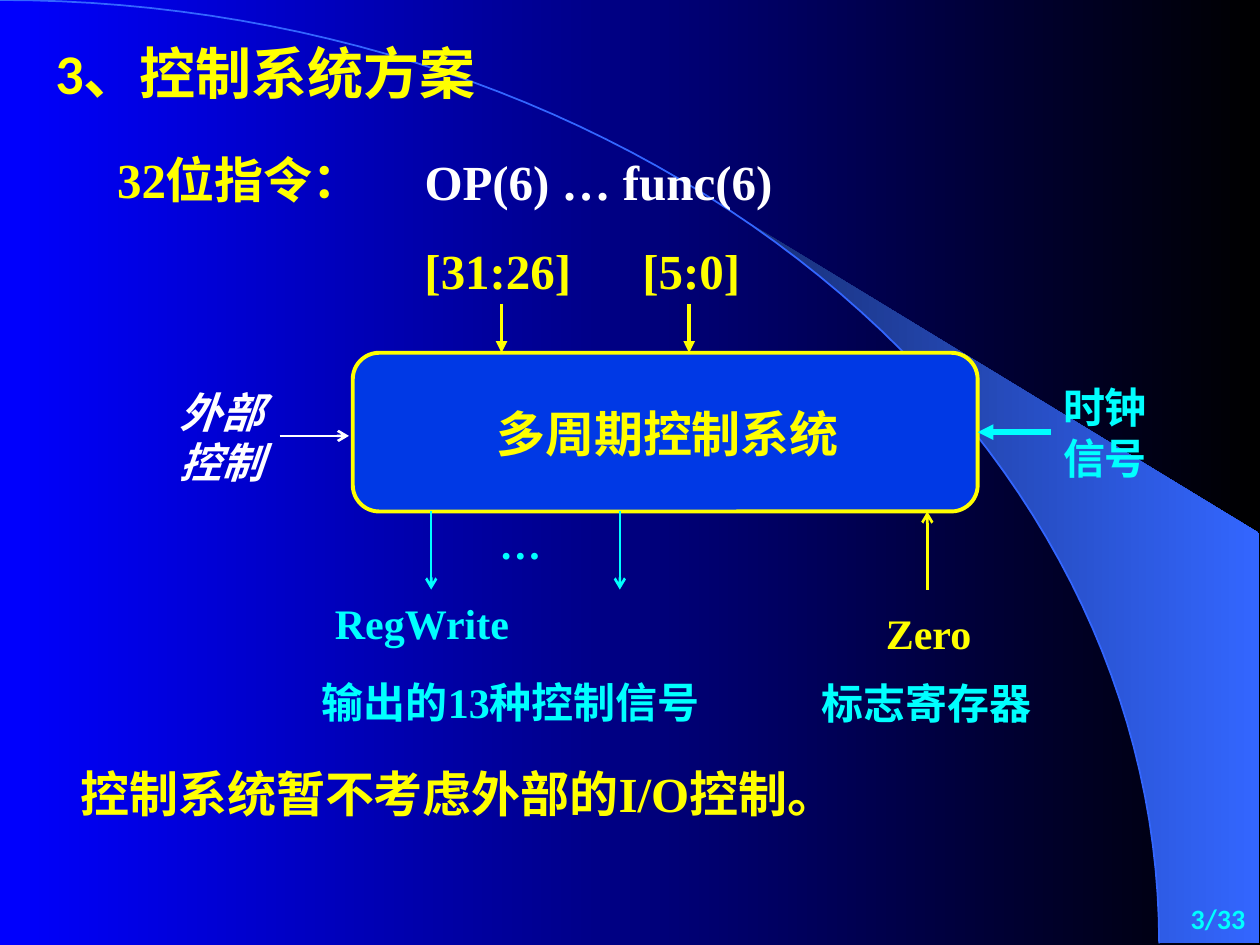
from dataclasses import dataclass
from math import asin, cos, pi, sin

from lxml.etree import SubElement
from pptx import Presentation
from pptx.dml.color import RGBColor
from pptx.enum.shapes import MSO_CONNECTOR, MSO_SHAPE
from pptx.enum.text import MSO_ANCHOR as Anchor, PP_ALIGN as Align
from pptx.oxml.ns import qn
from pptx.util import Pt

BLUE = RGBColor(0x00, 0x00, 0xFF)
BLACK = RGBColor(0x00, 0x00, 0x00)
NAVY = RGBColor(0x18, 0x2F, 0x76)
SKY = RGBColor(0x33, 0x66, 0xFF)
PANEL = RGBColor(0x00, 0x39, 0xE5)
YELLOW = RGBColor(0xFF, 0xFF, 0x00)
CYAN = RGBColor(0x00, 0xFF, 0xFF)
WHITE = RGBColor(0xFF, 0xFF, 0xFF)

SERIF = "Times New Roman"
SANS = "Calibri"
CHINESE = "Noto Sans CJK SC"


@dataclass
class Box:
    left: float
    top: float
    width: float
    height: float

    def inner(self, x, y, width, height):
        return Box(self.left + x, self.top + y, width, height)

    @property
    def right(self):
        return self.left + self.width

    @property
    def bottom(self):
        return self.top + self.height

    def in_points(self):
        return [Pt(v) for v in (self.left, self.top, self.width, self.height)]


def add_text(slide, box, paragraphs, size, color, align=Align.LEFT,
             font=SERIF, wrap=False, anchor=Anchor.TOP, italic=False):
    """Each paragraph is a string, or a list of (text, font name) runs."""
    frame = slide.shapes.add_textbox(*box.in_points()).text_frame
    frame.word_wrap = wrap
    frame.vertical_anchor = anchor
    for index, content in enumerate(paragraphs):
        paragraph = frame.add_paragraph() if index else frame.paragraphs[0]
        paragraph.alignment = align
        runs = [(content, font)] if isinstance(content, str) else content
        for text, name in runs:
            run = paragraph.add_run()
            run.text = text
            run.font.size = Pt(size)
            run.font.bold = True
            run.font.italic = italic
            run.font.color.rgb = color
            run.font.name = name
            SubElement(run.font._element, qn("a:ea"), typeface=CHINESE)


def add_arrow(slide, start, end, color, width, head="arrow"):
    connector = slide.shapes.add_connector(
        MSO_CONNECTOR.STRAIGHT, *[Pt(v) for v in (*start, *end)])
    connector.line.color.rgb = color
    connector.line.width = Pt(width)
    properties = connector._element.spPr
    SubElement(properties.find(qn("a:ln")), qn("a:tailEnd"), type=head)
    SubElement(properties, qn("a:effectLst"))
    return connector


def add_outline(slide, points, close):
    points = [(Pt(x), Pt(y)) for x, y in points]
    builder = slide.shapes.build_freeform(*points[0])
    builder.add_line_segments(points[1:], close=close)
    shape = builder.convert_to_shape()
    shape.shadow.inherit = False
    return shape


def set_gradient(fill, first, last):
    fill.gradient()
    fill.gradient_angle = 0
    for stop, color, position in zip(fill.gradient_stops, (first, last), (0, 1)):
        stop.color.rgb = color
        stop.position = position


def ellipse_arc(box, start, steps=60):
    """Points of a quarter ellipse, from the start angle down to the lower right."""
    angles = [start + (pi / 2 - start) * i / steps for i in range(steps + 1)]
    return [(box.left + box.width * sin(a), box.bottom - box.height * cos(a))
            for a in angles]


def add_backdrop(slide, box):
    set_gradient(slide.background.fill, BLUE, BLACK)
    globe = box.inner(0, 0, 662.4, 539)
    tangent_x, edge_x, edge_y = 424, 719.3, 304.6
    beam_points = ellipse_arc(globe, asin(tangent_x / globe.width))
    beam_points += [(box.left + edge_x, globe.bottom),
                    (box.left + edge_x, box.top + edge_y)]
    beam = add_outline(slide, beam_points, close=True)
    set_gradient(beam.fill, NAVY, SKY)
    beam.line.fill.background()

    horizon = add_outline(slide, ellipse_arc(globe, 0), close=False)
    horizon.fill.background()
    horizon.line.color.rgb = SKY
    horizon.line.width = Pt(1)


def add_instruction(slide, box):
    add_text(slide, box.inner(0, 0, 165, 39.6), ["32位指令："], 28, YELLOW)
    add_text(slide, box.inner(175.7, 0.7, 220, 39.6), ["OP(6) … func(6)"], 28, WHITE)
    fields = (("[31:26]", 175.7, 113, 226.8), ("[5:0]", 300.2, 90.7, 334))
    for text, x, width, arrow_x in fields:
        add_text(slide, box.inner(x, 51.8, width, 39.6), [text], 28, YELLOW)
        column = box.left + arrow_x
        add_arrow(slide, (column, box.top + 91.4), (column, box.bottom),
                  YELLOW, 2.25, "triangle")


def add_controller(slide, box):
    panel = slide.shapes.add_shape(MSO_SHAPE.ROUNDED_RECTANGLE, *box.in_points())
    panel.shadow.inherit = False
    panel.fill.solid()
    panel.fill.fore_color.rgb = PANEL
    panel.line.color.rgb = YELLOW
    panel.line.width = Pt(2.25)
    add_text(slide, box.inner(74.9, 25.2, 220, 41), ["多周期控制系统"], 28, YELLOW)
    return panel


def add_side_inputs(slide, box, panel):
    """Inputs to the left and right of the controller that fills the box."""
    external_y = box.top + 47.5
    add_text(slide, box.inner(-117.4, 15.8, 85, 64.8), ["外部控制"], 24, WHITE,
             Align.CENTER, CHINESE, wrap=True, italic=True)
    add_arrow(slide, (box.left - 41.8, external_y), (box.left - 2.2, external_y),
              WHITE, 1.5)

    middle = box.top + box.height / 2
    add_text(slide, box.inner(384.5, 13, 90.7, 67.7), ["时钟", "信号"], 24, CYAN,
             Align.CENTER)
    clock = add_arrow(slide, (box.right + 41.8, middle), (box.right, middle),
                      CYAN, 3, "triangle")
    clock.end_connect(panel, 3)


def add_lower_signals(slide, box):
    for x in (44.8, 152.6):
        column = box.left + x
        add_arrow(slide, (column, box.top), (column, box.top + 44.6), CYAN, 1.5)
    flag_x = box.left + 328.3
    add_arrow(slide, (flag_x, box.top + 44.6), (flag_x, box.top), YELLOW, 1.5)

    labels = (
        ("…", 61.9, 0, 67.7, CYAN, Align.CENTER),
        ("RegWrite", -17.3, 45.4, 124.6, CYAN, Align.LEFT),
        ("输出的13种控制信号", -39.6, 90.7, 260, CYAN, Align.CENTER),
        ("Zero", 295.2, 51.1, 67.7, YELLOW, Align.CENTER),
        ("标志寄存器", 253, 91.4, 150, CYAN, Align.CENTER),
    )
    for text, x, y, width, color, align in labels:
        add_text(slide, box.inner(x, y, width, 39.6), [text], 24, color, align)


def add_title(slide, box):
    add_text(slide, box, ["3、控制系统方案"], 32, YELLOW, font=SANS, wrap=True,
             anchor=Anchor.MIDDLE)


def add_remark(slide, box):
    runs = [("控制系统暂不考虑外部的", CHINESE), ("I/O", SERIF), ("控制。", CHINESE)]
    add_text(slide, box, [runs], 28, YELLOW, wrap=True)


def add_page_number(slide, box):
    add_text(slide, box, ["3/33"], 16, CYAN, Align.RIGHT, SANS, wrap=True,
             anchor=Anchor.MIDDLE)


def main():
    presentation = Presentation()
    presentation.slide_width, presentation.slide_height = Pt(720), Pt(540)
    slide = presentation.slides.add_slide(presentation.slide_layouts[6])

    controller = Box(201.6, 201.6, 357.1, 90.7)
    add_backdrop(slide, Box(0, 0, 720, 540))
    add_title(slide, Box(24.5, 21.6, 500.4, 38.9))
    add_instruction(slide, Box(59.8, 82.1, 395.7, controller.top - 82.1))
    panel = add_controller(slide, controller)
    add_side_inputs(slide, controller, panel)
    add_lower_signals(slide, Box(controller.left, controller.bottom, 357.1, 131))
    add_remark(slide, Box(38.9, 432.7, 496.8, 41))
    add_page_number(slide, Box(568.8, 510.5, 149.8, 28.1))
    presentation.save("out.pptx")


if __name__ == "__main__":
    main()
